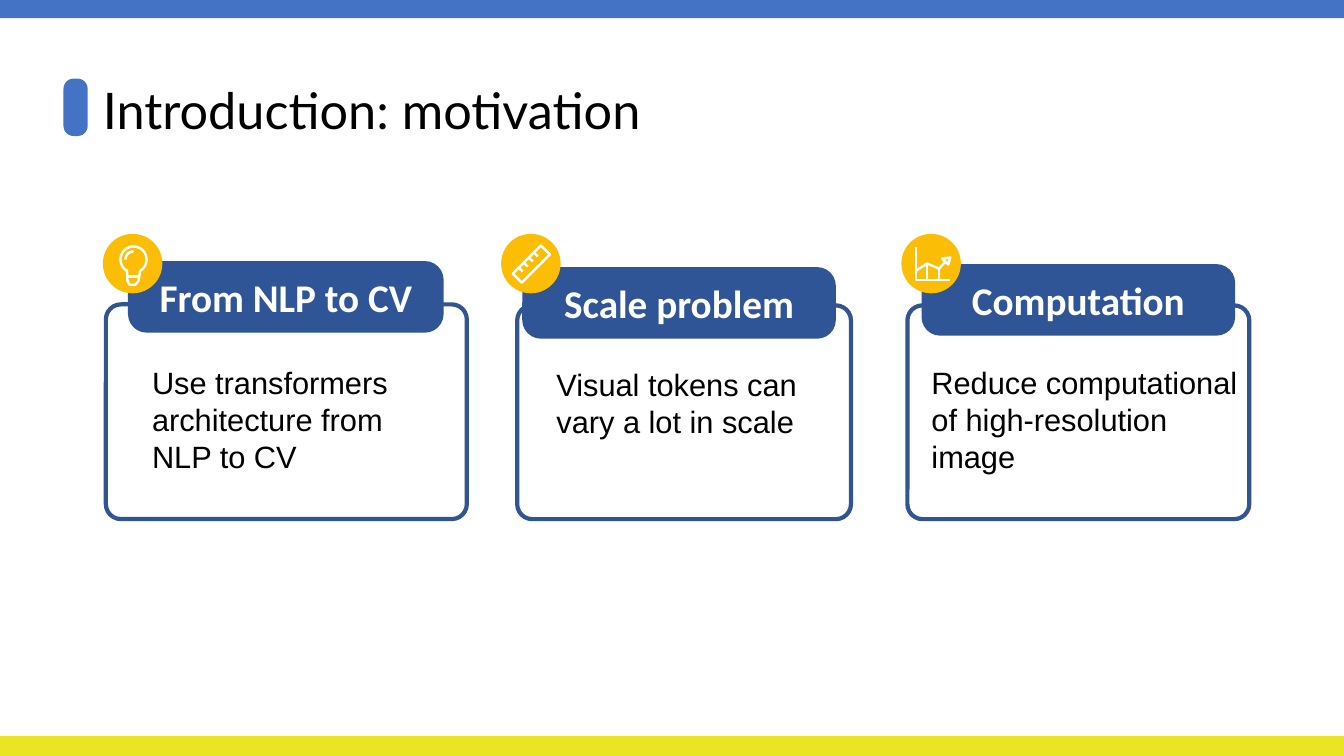
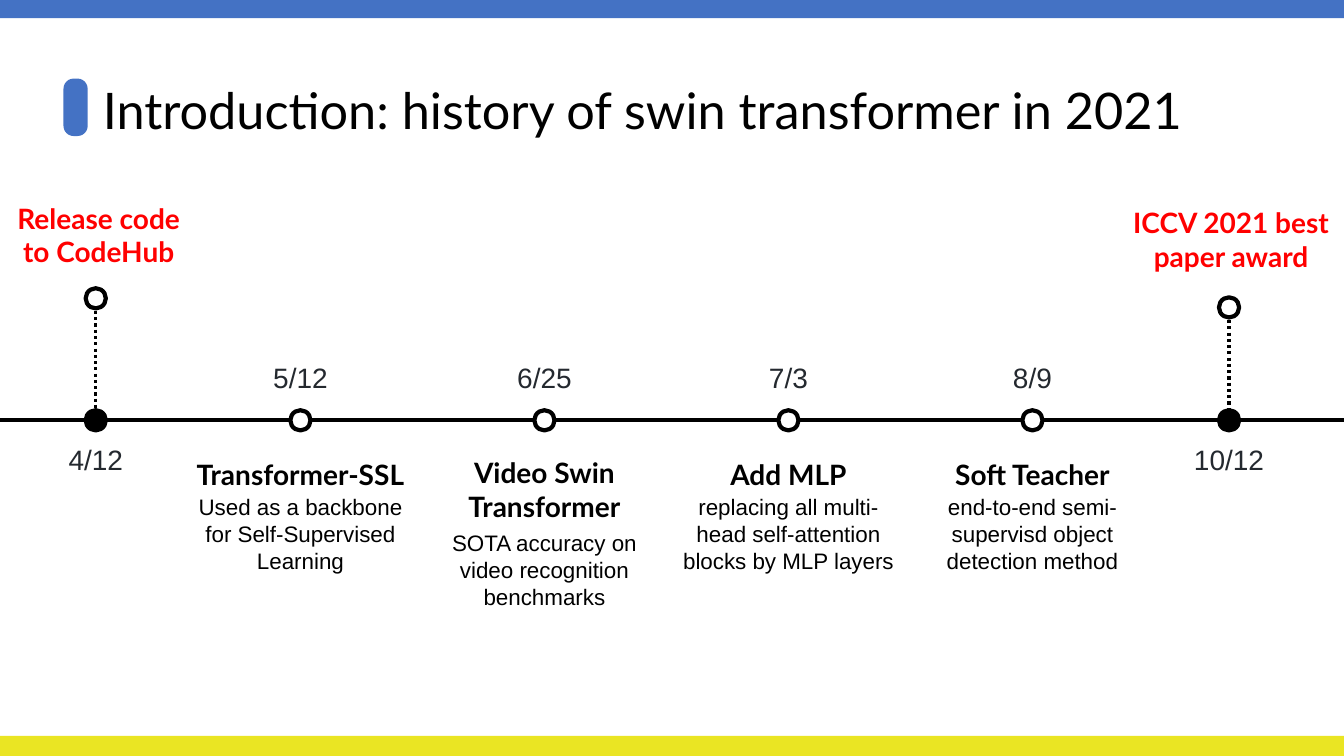
import math

import lxml.etree
import pptx
import pptx.util
from pptx.dml.color import RGBColor
from pptx.enum.dml import MSO_LINE
from pptx.enum.shapes import MSO_CONNECTOR, MSO_SHAPE
from pptx.enum.text import MSO_ANCHOR, MSO_AUTO_SIZE, PP_ALIGN
from pptx.oxml.ns import qn

Inches = pptx.util.Inches
Pt = pptx.util.Pt

SLIDE_WIDTH, SLIDE_HEIGHT = 13.33, 7.5
BLUE = RGBColor(0x44, 0x72, 0xC4)
YELLOW = RGBColor(0xEA, 0xE5, 0x23)
OUTLINE = RGBColor(0x32, 0x54, 0x91)
NAVY = RGBColor(0x2F, 0x55, 0x97)
AMBER = RGBColor(0xFB, 0xBD, 0x05)
RED = RGBColor(0xFF, 0x00, 0x00)
SLATE = RGBColor(0x24, 0x29, 0x2F)
BLACK = RGBColor(0x00, 0x00, 0x00)
WHITE = RGBColor(0xFF, 0xFF, 0xFF)

# Each card: heading, text, icon, then boxes as left, top, width, height
CARDS = [
    dict(heading="From NLP to CV", text="Use transformers architecture from NLP to CV",
         icon="bulb", frame=(1.05, 3.02, 3.58, 2.13), header=(1.27, 2.59, 3.13, 0.71),
         body=(1.41, 3.56, 3.13, 1.21), badge_left=1.02),
    dict(heading="Scale problem", text="Visual tokens can vary a lot in scale",
         icon="ruler", frame=(5.13, 3.03, 3.31, 2.12), header=(5.18, 2.65, 3.11, 0.71),
         body=(5.42, 3.58, 3.02, 0.84), badge_left=4.97),
    dict(heading="Computation", text="Reduce computational of high-resolution image",
         icon="chart", frame=(9, 3.03, 3.39, 2.12), header=(9.14, 2.62, 3.11, 0.71),
         body=(9.14, 3.56, 3.27, 1.21), badge_left=8.94),
]
BADGE_TOP, BADGE_SIZE = 2.32, 0.59

# Date, heading, text, heading box top and height, text box top
MILESTONES = [
    ("5/12", "Transformer-SSL", "Used as a backbone for Self-Supervised Learning",
     4.47, 0.47, 4.85),
    ("6/25", "Video Swin Transformer", "SOTA accuracy on video recognition benchmarks",
     4.57, 0.57, 5.21),
    ("7/3", "Add MLP", "replacing all multi-head self-attention blocks by MLP layers",
     4.47, 0.47, 4.85),
    ("8/9", "Soft Teacher", "end-to-end semi-supervisd object detection method",
     4.47, 0.47, 4.85),
]
# Date, lines, axis x, upper dot y, callout centre x, width, height
ENDPOINTS = [
    ("4/12", ["Release code", "to CodeHub"], 0.95, 2.96, 0.98, 1.96, 0.68),
    ("10/12", ["ICCV 2021 best paper award"], 12.19, 3.05, 12.21, 2.24, 0.77),
]
AXIS_Y = 4.17
FIRST_MILESTONE, MILESTONE_STEP = 2.98, 2.42
DOT_SIZE = 0.2


def arc(x, y, radius, start, end, steps=20):
    """Points on a circle between two angles in degrees."""
    angles = [math.radians(start + (end - start) * i / steps) for i in range(steps + 1)]
    return [(x + radius * math.cos(a), y + radius * math.sin(a)) for a in angles]


# Contours as (points, closed), measured from the badge centre
ICONS = {
    "bulb": [
        (arc(0.01, -0.04, 0.13, 120, 420)
         + [(0.06, 0.17), (0.03, 0.21), (-0.03, 0.21), (-0.05, 0.17)], True),
        ([(-0.05, 0.13), (0.06, 0.13)], False),
        (arc(0.01, -0.04, 0.08, 180, 270), False),
    ],
    "ruler": [
        ([(0.1, -0.18), (0.19, -0.09), (-0.09, 0.19), (-0.18, 0.1)], True),
    ] + [
        ([(-0.12 + 0.05 * i, 0.04 - 0.05 * i), (-0.08 + 0.05 * i, 0.08 - 0.05 * i)], False)
        for i in range(4)
    ],
    "chart": [
        ([(-0.15, -0.16), (-0.15, 0.16), (0.19, 0.16)], False),
        ([(-0.15, 0.07), (-0.04, 0), (0.08, 0.05), (0.15, -0.03)], False),
        ([(-0.04, 0), (-0.04, 0.16)], False),
        ([(0.08, 0.05), (0.08, 0.16)], False),
        ([(0.11, -0.05), (0.19, -0.06), (0.17, 0.01)], True),
    ],
}


def style_shape(shape, fill=None, line=None, line_width=3):
    shape.shadow.inherit = False
    if fill is None:
        shape.fill.background()
    else:
        shape.fill.solid()
        shape.fill.fore_color.rgb = fill
    if line is None:
        shape.line.fill.background()
    else:
        shape.line.color.rgb = line
        shape.line.width = Pt(line_width)


def add_shape(slide, kind, box, fill=None, line=None, corner=None):
    shape = slide.shapes.add_shape(kind, *map(Inches, box))
    style_shape(shape, fill, line)
    if corner is not None:
        shape.adjustments[0] = corner
    return shape


def write(shape, lines, size, font, color, bold=False, align=PP_ALIGN.CENTER,
          anchor=MSO_ANCHOR.MIDDLE):
    frame = shape.text_frame
    frame.text = "\n".join(lines)
    frame.word_wrap = True
    frame.auto_size = MSO_AUTO_SIZE.NONE
    frame.vertical_anchor = anchor
    for paragraph in frame.paragraphs:
        paragraph.alignment = align
        paragraph.font.size = Pt(size)
        paragraph.font.name = font
        paragraph.font.bold = bold
        paragraph.font.color.rgb = color


def add_text(slide, box, lines, size, font, color, **options):
    write(slide.shapes.add_textbox(*map(Inches, box)), lines, size, font, color, **options)


def add_centred_text(slide, x, top, width, height, lines, size, font, color, **options):
    add_text(slide, (x - width / 2, top, width, height), lines, size, font, color, **options)


def add_line(slide, start, end, width, dash=None):
    connector = slide.shapes.add_connector(
        MSO_CONNECTOR.STRAIGHT, *map(Inches, start + end))
    connector.line.color.rgb = BLACK
    connector.line.width = Pt(width)
    if dash is not None:
        connector.line.dash_style = dash
    lxml.etree.SubElement(connector._element.spPr, qn("a:effectLst"))


def add_dot(slide, x, y, fill):
    box = (x - DOT_SIZE / 2, y - DOT_SIZE / 2, DOT_SIZE, DOT_SIZE)
    add_shape(slide, MSO_SHAPE.OVAL, box, fill, BLACK)


def add_date(slide, x, top, date):
    add_centred_text(slide, x, top, 0.92, 0.35, [date], 20, "Arial", SLATE,
                     anchor=MSO_ANCHOR.TOP)


def add_icon(slide, contours, x, y):
    placed = [([(Inches(x + dx), Inches(y + dy)) for dx, dy in points], closed)
              for points, closed in contours]
    builder = slide.shapes.build_freeform(*placed[0][0][0])
    for points, closed in placed:
        builder.move_to(*points[0])
        builder.add_line_segments(points[1:], close=closed)
    style_shape(builder.convert_to_shape(), line=WHITE, line_width=1.75)


def add_titled_slide(presentation, title_text):
    """Add a slide with the shared title, bands and title marker."""
    slide = presentation.slides.add_slide(presentation.slide_layouts[5])
    title = slide.shapes.title
    title.left, title.top, title.width, title.height = map(Inches, (0.92, 0.4, 11.5, 1.45))
    write(title, [title_text], 36, "Lato", BLACK, align=PP_ALIGN.LEFT)
    title.text_frame.paragraphs[0].line_spacing = 0.9
    add_shape(slide, MSO_SHAPE.RECTANGLE, (0, -0.02, SLIDE_WIDTH, 0.2), BLUE)
    add_shape(slide, MSO_SHAPE.RECTANGLE, (0, 7.3, SLIDE_WIDTH, 0.2), YELLOW)
    add_shape(slide, MSO_SHAPE.ROUNDED_RECTANGLE, (0.63, 0.78, 0.24, 0.57), BLUE, corner=0.42)
    return slide


def add_card(slide, card):
    add_shape(slide, MSO_SHAPE.ROUNDED_RECTANGLE, card["frame"], line=OUTLINE, corner=0.07)
    add_text(slide, card["body"], [card["text"]], 22, "Arial", BLACK,
             align=PP_ALIGN.LEFT, anchor=MSO_ANCHOR.TOP)
    header = add_shape(slide, MSO_SHAPE.ROUNDED_RECTANGLE, card["header"], NAVY, corner=0.26)
    write(header, [card["heading"]], 28, "Calibri", WHITE, bold=True)
    left = card["badge_left"]
    add_shape(slide, MSO_SHAPE.OVAL, (left, BADGE_TOP, BADGE_SIZE, BADGE_SIZE), AMBER)
    add_icon(slide, ICONS[card["icon"]], left + BADGE_SIZE / 2, BADGE_TOP + BADGE_SIZE / 2)


def add_timeline(slide):
    add_line(slide, (0, AXIS_Y), (SLIDE_WIDTH, AXIS_Y), 3)
    for i, (date, heading, text, top, height, text_top) in enumerate(MILESTONES):
        x = FIRST_MILESTONE + i * MILESTONE_STEP
        add_dot(slide, x, AXIS_Y, WHITE)
        add_date(slide, x, 3.53, date)
        add_centred_text(slide, x, top, 2.3, height, [heading], 20, "Lato", BLACK, bold=True)
        add_centred_text(slide, x, text_top, 2.37, 0.88, [text], 16, "Arial", BLACK)
    for date, lines, x, dot_y, text_x, width, height in ENDPOINTS:
        add_line(slide, (x, dot_y), (x, AXIS_Y), 2.25, MSO_LINE.ROUND_DOT)
        add_dot(slide, x, dot_y, WHITE)
        add_dot(slide, x, AXIS_Y, BLACK)
        add_date(slide, x, 4.34, date)
        add_centred_text(slide, text_x, 1.99, width, height, lines, 20, "Lato", RED, bold=True)


def main():
    presentation = pptx.Presentation()
    presentation.slide_width = Inches(SLIDE_WIDTH)
    presentation.slide_height = Inches(SLIDE_HEIGHT)
    motivation = add_titled_slide(presentation, "Introduction: motivation")
    for card in CARDS:
        add_card(motivation, card)
    history = add_titled_slide(
        presentation, "Introduction: history of swin transformer in 2021")
    add_timeline(history)
    presentation.save("out.pptx")


if __name__ == "__main__":
    main()
